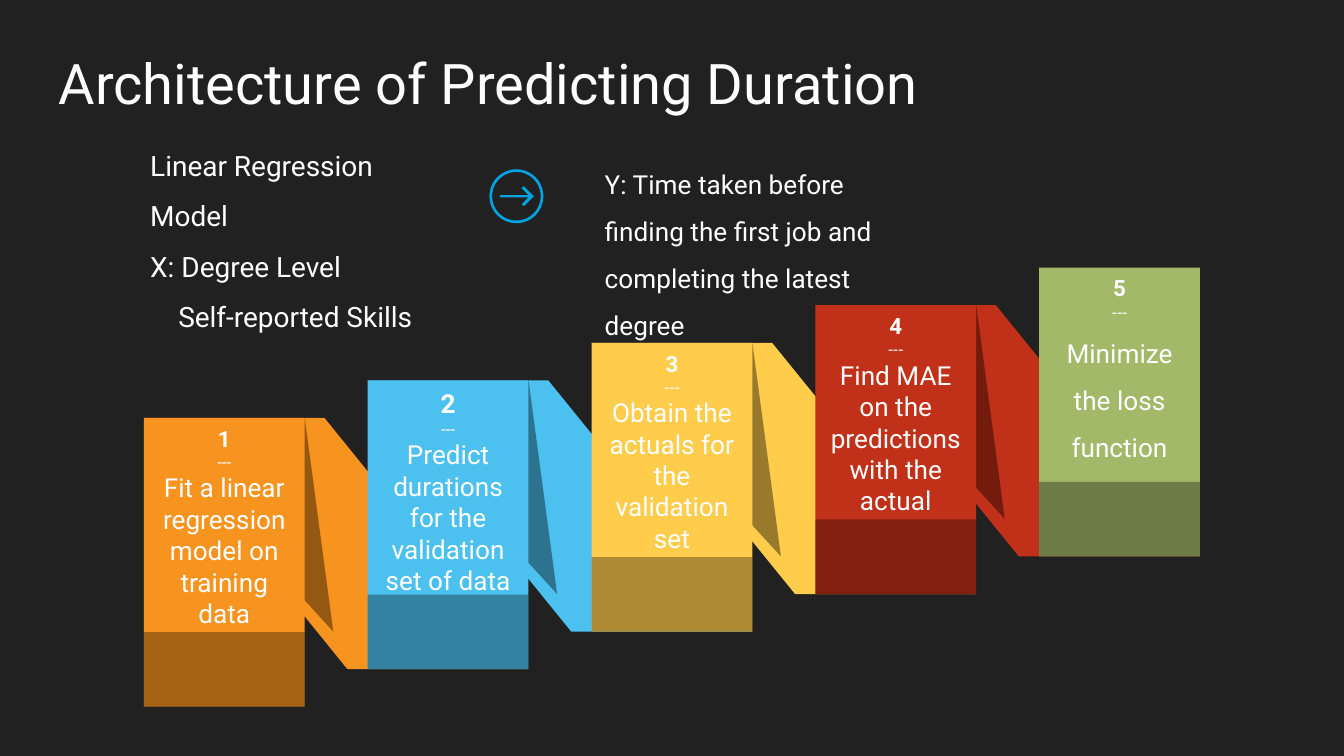
"""Build the slide on the architecture of predicting duration."""
from pptx import Presentation
from pptx.dml.color import RGBColor
from pptx.enum.shapes import MSO_SHAPE
from pptx.enum.text import MSO_ANCHOR, PP_ALIGN
from pptx.oxml.ns import qn
from pptx.util import Cm, Pt
from lxml.etree import SubElement

THEME = {
    "background": "212121", "text": "FFFFFF", "shade": "000000", "accent": "00A3E0",
    "orange": "F7931F", "blue": "4CC1EF", "yellow": "FFCC4C", "red": "C13018", "green": "A2B969",
    "title": 30, "model": 15, "body": 14, "number": 12, "dashes": 9,
    "font": "Roboto", "dash_font": "Calibri",
}


def paint(s, color, alpha=None):
    s.shadow.inherit = False
    s.fill.solid()
    s.fill.fore_color.rgb = RGBColor.from_string(THEME[color])
    s.line.fill.background()
    if alpha:
        tone = s.fill._xPr.find(qn("a:solidFill"))[0]
        SubElement(tone, qn("a:alpha")).set("val", str(alpha * 1000))


def write(s, lines, inset):
    tf = s.text_frame
    frame = {"word_wrap": True, "vertical_anchor": MSO_ANCHOR.TOP,
             "margin_left": Cm(0.25), "margin_right": Cm(0.25),
             "margin_top": inset, "margin_bottom": inset}
    for name, value in frame.items():
        setattr(tf, name, value)
    for i, (text, size, look, layout) in enumerate(lines):
        p = tf.add_paragraph() if i else tf.paragraphs[0]
        for name, value in layout.items():
            setattr(p, name, value)
        r = p.add_run()
        r.text = text
        font = {"name": THEME["font"], "size": Pt(size), "bold": False} | look
        for name, value in font.items():
            setattr(r.font, name, value)
        r.font.color.rgb = RGBColor.from_string(THEME["text"])


prs = Presentation()
prs.slide_width, prs.slide_height = Cm(25.4), Cm(14.29)
slide = prs.slides.add_slide(prs.slide_layouts[6])
slide.background.fill.solid()
slide.background.fill.fore_color.rgb = RGBColor.from_string(THEME["background"])
shapes = slide.shapes

title = shapes.add_textbox(Cm(0.86), Cm(0.66), Cm(23.67), Cm(1.6))
write(title, [("Architecture of Predicting Duration", THEME["title"], {}, {})], Cm(0.25))

steps = [
    ("orange", "number", "font", 1, "Fit a linear regression model on training data"),
    ("blue", "body", "font", 1, "Predict durations for the validation set of data"),
    ("yellow", "number", "dash_font", 1, "Obtain the actuals for the validation set"),
    ("red", "number", "dash_font", 1, "Find MAE on the predictions with the actual"),
    ("green", "number", "dash_font", 1.5, "Minimize the loss function"),
]
card_width, card_height = 3.04, 5.46
band_height = 1.41
fold = [(card_width, 0), (3.58, 4.04), (card_width, 3.45)]
centred = {"alignment": PP_ALIGN.CENTER}

for i, (color, number_size, dash_font, spacing, text) in enumerate(steps):
    left, top = 2.72 + 4.23 * i, 7.9 - 0.71 * i
    if i < len(steps) - 1:
        ribbon = shapes.add_shape(MSO_SHAPE.PARALLELOGRAM, Cm(left), Cm(top), Cm(7.26), Cm(4.75))
        ribbon.adjustments[0] = 0.81
        ribbon._element.spPr.find(qn("a:xfrm")).set("flipH", "1")
        paint(ribbon, color)
        builder = shapes.build_freeform(Cm(left), Cm(top))
        builder.add_line_segments([(Cm(left + x), Cm(top + y)) for x, y in fold])
        paint(builder.convert_to_shape(), "shade", 40)

    card = shapes.add_shape(MSO_SHAPE.RECTANGLE, Cm(left), Cm(top), Cm(card_width), Cm(card_height))
    paint(card, color)
    write(card, [
        (str(i + 1), THEME[number_size], {"bold": True}, centred),
        ("---", THEME["dashes"], {"name": THEME[dash_font]}, centred),
        (text, THEME["body"], {}, centred | {"line_spacing": spacing}),
    ], Cm(0.13))
    band = shapes.add_shape(MSO_SHAPE.RECTANGLE, Cm(left), Cm(top + card_height - band_height),
                            Cm(card_width), Cm(band_height))
    paint(band, "shade", 32)

spaced = {"line_spacing": 1.5}
inputs = shapes.add_textbox(Cm(2.59), Cm(2.24), Cm(5.99), Cm(2.95))
write(inputs, [(text, THEME["model"], {}, spaced) for text in
               ("Linear Regression Model", "X: Degree Level", "Self-reported Skills")], Cm(0.25))
inputs.text_frame.paragraphs[-1]._p.get_or_add_pPr().set("marL", str(Cm(0.53)))

ring = shapes.add_shape(MSO_SHAPE.DONUT, Cm(9.25), Cm(3.2), Cm(1.02), Cm(1.02))
ring.adjustments[0] = 0.05
paint(ring, "accent")
upper = [(10.09, 0), (9.9, -0.19), (9.86, -0.15), (9.99, -0.02), (9.45, -0.02)]
outline = upper + [(x, -y) for x, y in upper[:0:-1]]
points = [(Cm(x), Cm(3.71 + y)) for x, y in outline]
builder = shapes.build_freeform(*points[0])
builder.add_line_segments(points[1:])
paint(builder.convert_to_shape(), "accent")

target = shapes.add_textbox(Cm(11.18), Cm(2.64), Cm(6.43), Cm(1.4))
write(target, [("Y: Time taken before finding the first job and completing the latest degree",
                THEME["body"], {}, spaced)], Cm(0.25))

prs.save("out.pptx")
